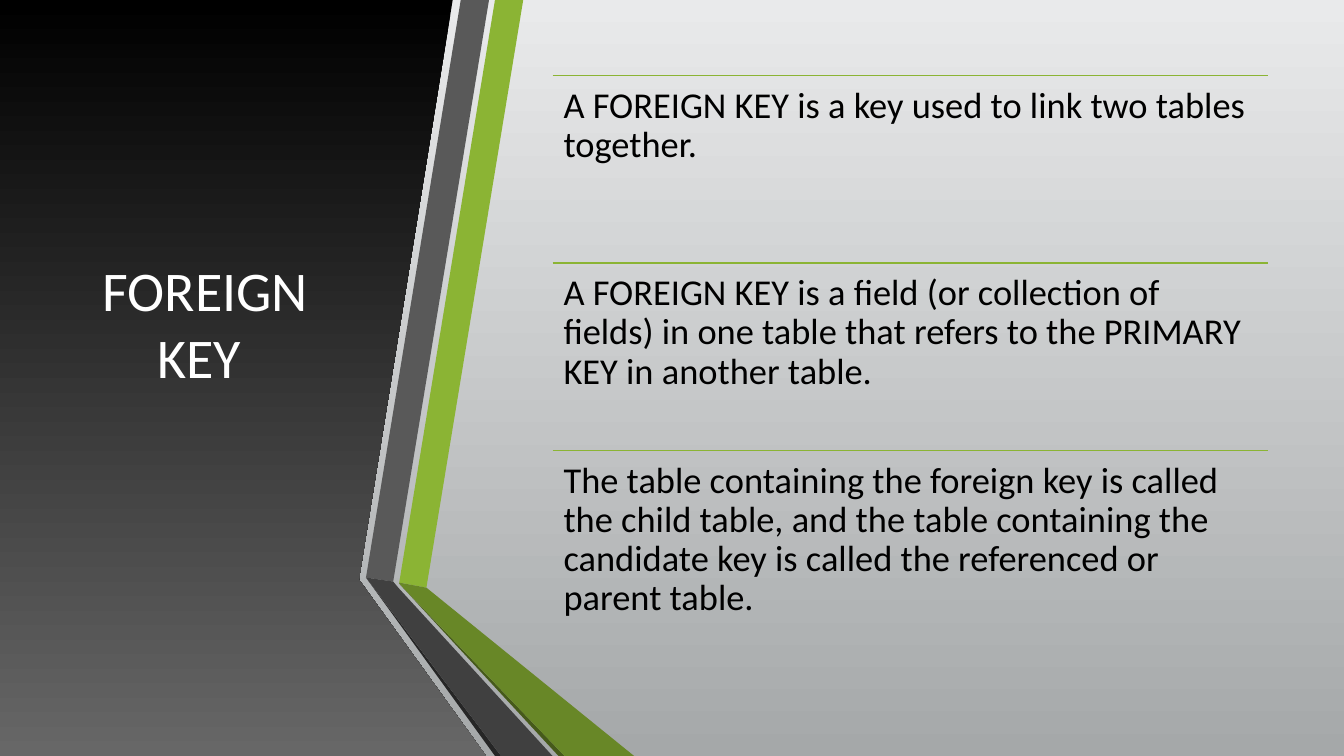
from pptx import Presentation
from pptx.dml.color import RGBColor
from pptx.enum import shapes, text
from pptx.oxml.ns import qn
from pptx.util import Inches, Pt

BLACK = RGBColor(0x00, 0x00, 0x00)
WHITE = RGBColor(0xFF, 0xFF, 0xFF)
ASH = RGBColor(0x67, 0x67, 0x67)
PALE = RGBColor(0xE9, 0xEA, 0xEB)
STEEL = RGBColor(0xA5, 0xA8, 0xA9)
GREEN = RGBColor(0x8B, 0xB4, 0x34)
MOSS = RGBColor(0x68, 0x87, 0x27)
OLIVE = RGBColor(0x46, 0x5A, 0x1A)
GRAY = RGBColor(0x59, 0x59, 0x59)
SLATE = RGBColor(0x40, 0x40, 0x40)
COAL = RGBColor(0x26, 0x26, 0x26)


def paint(shape, top, bottom=None):
    """Fill with one colour, or with a gradient running down the shape."""
    shape.shadow.inherit = False
    shape.line.fill.background()
    if bottom is None:
        shape.fill.solid()
        shape.fill.fore_color.rgb = top
        return
    shape.fill.gradient()
    shape.fill.gradient_angle = 270
    for stop, color in zip(shape.fill.gradient_stops, (top, bottom)):
        stop.color.rgb = color


def outline(parent, points):
    """Draw a closed polygon from points in inches."""
    spots = [(Inches(x), Inches(y)) for x, y in points]
    pen = parent.build_freeform(*spots[0])
    pen.add_line_segments(spots[1:], close=True)
    return pen.convert_to_shape()


deck = Presentation()
deck.slide_width, deck.slide_height = Inches(13.33), Inches(7.5)
slide = deck.slides.add_slide(deck.slide_layouts[6])

# Backdrop and dark side panel
back = slide.shapes.add_shape(
    shapes.MSO_SHAPE.RECTANGLE, 0, 0, deck.slide_width, deck.slide_height)
paint(back, PALE, STEEL)
panel = outline(slide.shapes, [(0, 0), (4.49, 0), (3.56, 5.75), (4.82, 7.5), (0, 7.5)])
paint(panel, BLACK, ASH)

# Title
title = slide.shapes.add_textbox(Inches(0.59), Inches(0.75), Inches(2.89), Inches(5.58))
frame = title.text_frame
frame.word_wrap = True
frame.vertical_anchor = text.MSO_ANCHOR.MIDDLE
frame.margin_bottom = Inches(0.73)
frame.text = "FOREIGN KEY\u00a0"
frame.paragraphs[0].alignment = text.PP_ALIGN.CENTER
font = frame.paragraphs[0].runs[0].font
font.name, font.size, font.color.rgb = "Calibri", Pt(40), WHITE

# Folded ribbons
ribbon = slide.shapes.add_group_shape()
for color, points in [
    (GREEN, [(3.96, 5.78), (4.23, 5.83), (5.19, 0), (4.91, 0)]),
    (GRAY, [(4.85, 0), (4.57, 0), (3.63, 5.73), (3.9, 5.77)]),
    (COAL, [(3.63, 5.73), (4.91, 7.5), (4.97, 7.5)]),
    (OLIVE, [(3.96, 5.79), (5.54, 7.5), (5.6, 7.5)]),
    (MOSS, [(3.96, 5.79), (5.6, 7.5), (6.29, 7.5), (4.23, 5.83), (3.96, 5.78)]),
    (SLATE, [(5.48, 7.5), (3.95, 5.83), (3.9, 5.77), (3.63, 5.73), (4.97, 7.5)]),
]:
    paint(outline(ribbon.shapes, points), color)

# Ruled statements
facts = [
    "A FOREIGN KEY is a key used to link two tables together.",
    "A FOREIGN KEY is a field (or collection of fields) in one table "
    "that refers to the PRIMARY KEY in another table.",
    "The table containing the foreign key is called the child table, and the table "
    "containing the candidate key is called the referenced or parent table.",
]
left, width, step = Inches(5.48), Inches(7.1), Inches(1.86)
for row, fact in enumerate(facts):
    top = Inches(0.75) + row * step
    rule = slide.shapes.add_connector(
        shapes.MSO_CONNECTOR.STRAIGHT, left, top, left + width, top)
    rule.line.color.rgb, rule.line.width = GREEN, Pt(1.25)
    props = rule._element.spPr
    props.append(props.makeelement(qn("a:effectLst"), {}))

    box = slide.shapes.add_textbox(left, top, width, step)
    frame = box.text_frame
    frame.word_wrap = True
    frame.margin_left = frame.margin_right = Inches(0.11)
    frame.margin_top = frame.margin_bottom = Inches(0.11)
    frame.text = fact
    frame.paragraphs[0].line_spacing = 0.9
    font = frame.paragraphs[0].runs[0].font
    font.name, font.size, font.color.rgb = "Calibri", Pt(26), BLACK

deck.save("out.pptx")
